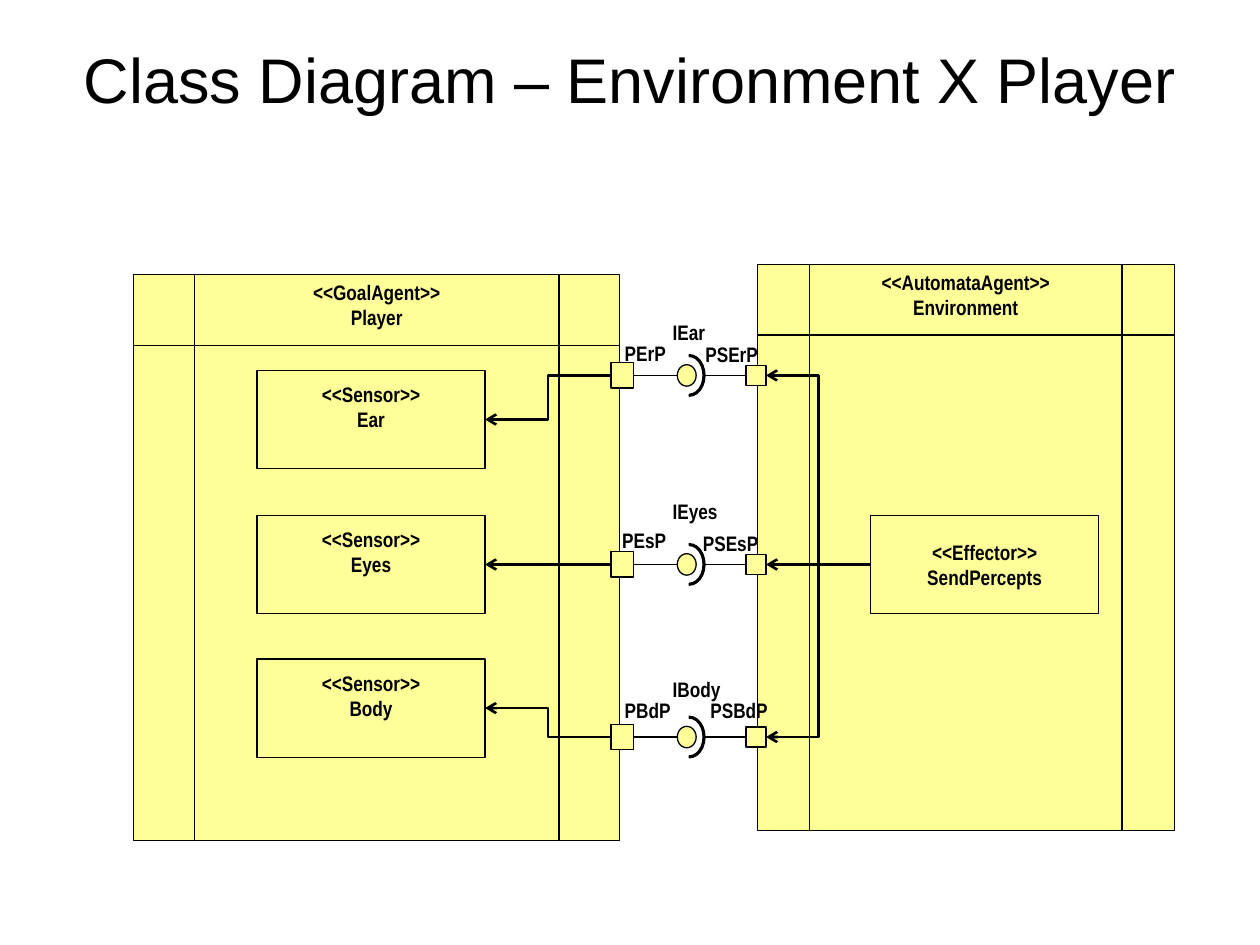
from dataclasses import dataclass

from lxml import etree
from pptx import Presentation
from pptx.dml.color import RGBColor
from pptx.enum.shapes import MSO_CONNECTOR, MSO_SHAPE
from pptx.enum.text import MSO_ANCHOR, MSO_AUTO_SIZE, PP_ALIGN
from pptx.oxml.ns import qn
from pptx.util import Inches, Pt

STRAIGHT, ELBOW = MSO_CONNECTOR.STRAIGHT, MSO_CONNECTOR.ELBOW
RECTANGLE, OVAL = MSO_SHAPE.RECTANGLE, MSO_SHAPE.OVAL
FRAME, ARC = MSO_SHAPE.FLOWCHART_PREDEFINED_PROCESS, MSO_SHAPE.BLOCK_ARC
TOP, MIDDLE = MSO_ANCHOR.TOP, MSO_ANCHOR.MIDDLE
LEFT, CENTER = PP_ALIGN.LEFT, PP_ALIGN.CENTER
FIT_TEXT = MSO_AUTO_SIZE.SHAPE_TO_FIT_TEXT
LEFT_SITE, RIGHT_SITE = 1, 3


@dataclass(frozen=True)
class Theme:
    ink: RGBColor = RGBColor(0, 0, 0)
    fill: RGBColor = RGBColor(0xFF, 0xFF, 0x99)
    title_font: str = "Arial"
    label_font: str = "Arial Narrow"
    title_size: Pt = Pt(36)
    label_size: Pt = Pt(12)
    thin: Pt = Pt(0.75)
    thick: Pt = Pt(1.5)


THEME = Theme()
BOX_WIDTH, BOX_HEIGHT = 1.81, 0.78
HEADER_HEIGHT = 0.56


def write(shape, lines, anchor=TOP, align=CENTER, title=False):
    frame = shape.text_frame
    frame.text = "\n".join(lines)
    frame.word_wrap = title
    frame.vertical_anchor = anchor
    for paragraph in frame.paragraphs:
        paragraph.alignment = align
        font = paragraph.runs[0].font
        font.name = THEME.title_font if title else THEME.label_font
        font.size = THEME.title_size if title else THEME.label_size
        font.bold = not title
        font.color.rgb = THEME.ink


def add_title(slide, box, text):
    write(slide.shapes.add_textbox(*map(Inches, box)), [text], title=True)


def add_label(slide, box, text):
    label = slide.shapes.add_textbox(*map(Inches, box))
    write(label, [text], align=LEFT)
    label.text_frame.auto_size = FIT_TEXT


def add_block(slide, preset, box, fill=THEME.fill):
    shape = slide.shapes.add_shape(preset, *map(Inches, box))
    shape.shadow.inherit = False
    shape.fill.solid()
    shape.fill.fore_color.rgb = fill
    shape.line.color.rgb = THEME.ink
    shape.line.width = THEME.thin
    return shape


def add_centered(slide, preset, x, y, width, height, fill=THEME.fill):
    box = (x - width / 2, y - height / 2, width, height)
    return add_block(slide, preset, box, fill)


def add_line(slide, start, end, kind=STRAIGHT, width=THEME.thin):
    line = slide.shapes.add_connector(kind, *map(Inches, start + end))
    line.line.color.rgb = THEME.ink
    line.line.width = width
    etree.SubElement(line._element.spPr, qn("a:effectLst"))
    return line


def add_arrow(slide, target, source, kind):
    """Join target's right side to source's left side, arrowhead at target."""
    arrow = add_line(slide, (0, 0), (1, 1), kind, THEME.thick)
    arrow.begin_connect(target, RIGHT_SITE)
    arrow.end_connect(source, LEFT_SITE)
    outline = arrow._element.spPr.find(qn("a:ln"))
    etree.SubElement(outline, qn("a:headEnd"), type="arrow")


def add_agent(slide, box, stereotype, name):
    left, top, width, _ = box
    agent = add_block(slide, FRAME, box)
    write(agent, [stereotype, name])
    agent.text_frame.margin_top = Inches(0.04)
    divider = top + HEADER_HEIGHT
    add_line(slide, (left, divider), (left + width, divider))


def add_part(slide, left, middle, stereotype, name, bottom_inset=0.05):
    box = (left, middle - BOX_HEIGHT / 2, BOX_WIDTH, BOX_HEIGHT)
    part = add_block(slide, RECTANGLE, box)
    write(part, [stereotype, name], MIDDLE)
    part.text_frame.margin_bottom = Inches(bottom_inset)
    return part


def add_provided_port(slide, x, y):
    """Port square with its ball, to the right of x."""
    port = add_centered(slide, RECTANGLE, x, y, 0.18, 0.2)
    ball_x, ball_width = x + 0.51, 0.15
    add_centered(slide, OVAL, ball_x, y, ball_width, 0.17)
    stem = add_line(slide, (x, y), (ball_x - ball_width / 2, y))
    stem.begin_connect(port, RIGHT_SITE)
    return port


def add_required_port(slide, x, y):
    """Port square with its socket, to the left of x."""
    port = add_centered(slide, RECTANGLE, x, y, 0.16, 0.16)
    stem = add_line(slide, (x, y), (x - 0.42, y))
    stem.begin_connect(port, LEFT_SITE)
    socket = add_centered(slide, ARC, x - 0.53, y, 0.33, 0.25, THEME.ink)
    socket.rotation = 90
    for index, value in enumerate((108, 0, 0.06)):
        socket.adjustments[index] = value
    return port


def main():
    presentation = Presentation()
    presentation.slide_width, presentation.slide_height = Inches(10), Inches(7.5)
    slide = presentation.slides.add_slide(presentation.slide_layouts[6])

    add_title(slide, (0.5, 0.27, 9, 1.25), "Class Diagram – Environment X Player")
    add_agent(slide, (1.06, 2.18, 3.86, 4.49), "<<GoalAgent>>", "Player")
    add_agent(slide, (6.01, 2.1, 3.31, 4.49), "<<AutomataAgent>>", "Environment")

    # sensor, its middle, the row of its ports, arrow kind
    rows = [
        ("Ear", 3.33, 2.98, ELBOW),
        ("Eyes", 4.48, 4.48, STRAIGHT),
        ("Body", 5.62, 5.85, ELBOW),
    ]
    effector = add_part(slide, 6.91, 4.48, "<<Effector>>", "SendPercepts")
    for name, middle, row, kind in rows:
        sensor = add_part(slide, 2.04, middle, "<<Sensor>>", name, 0.25)
        add_arrow(slide, sensor, add_provided_port(slide, 4.94, row), kind)
        add_arrow(slide, add_required_port(slide, 6, row), effector, kind)

    labels = [
        ("IEar", 5.24, 2.49, 0.48), ("PErP", 4.86, 2.65, 0.54),
        ("PSErP", 5.5, 2.66, 0.64),
        ("IEyes", 5.24, 3.91, 0.57), ("PEsP", 4.84, 4.14, 0.57),
        ("PSEsP", 5.48, 4.16, 0.66),
        ("IBody", 5.24, 5.32, 0.6), ("PBdP", 4.86, 5.49, 0.58),
        ("PSBdP", 5.54, 5.49, 0.67),
    ]
    for text, left, top, width in labels:
        add_label(slide, (left, top, width, 0.3), text)

    presentation.save("out.pptx")


if __name__ == "__main__":
    main()
